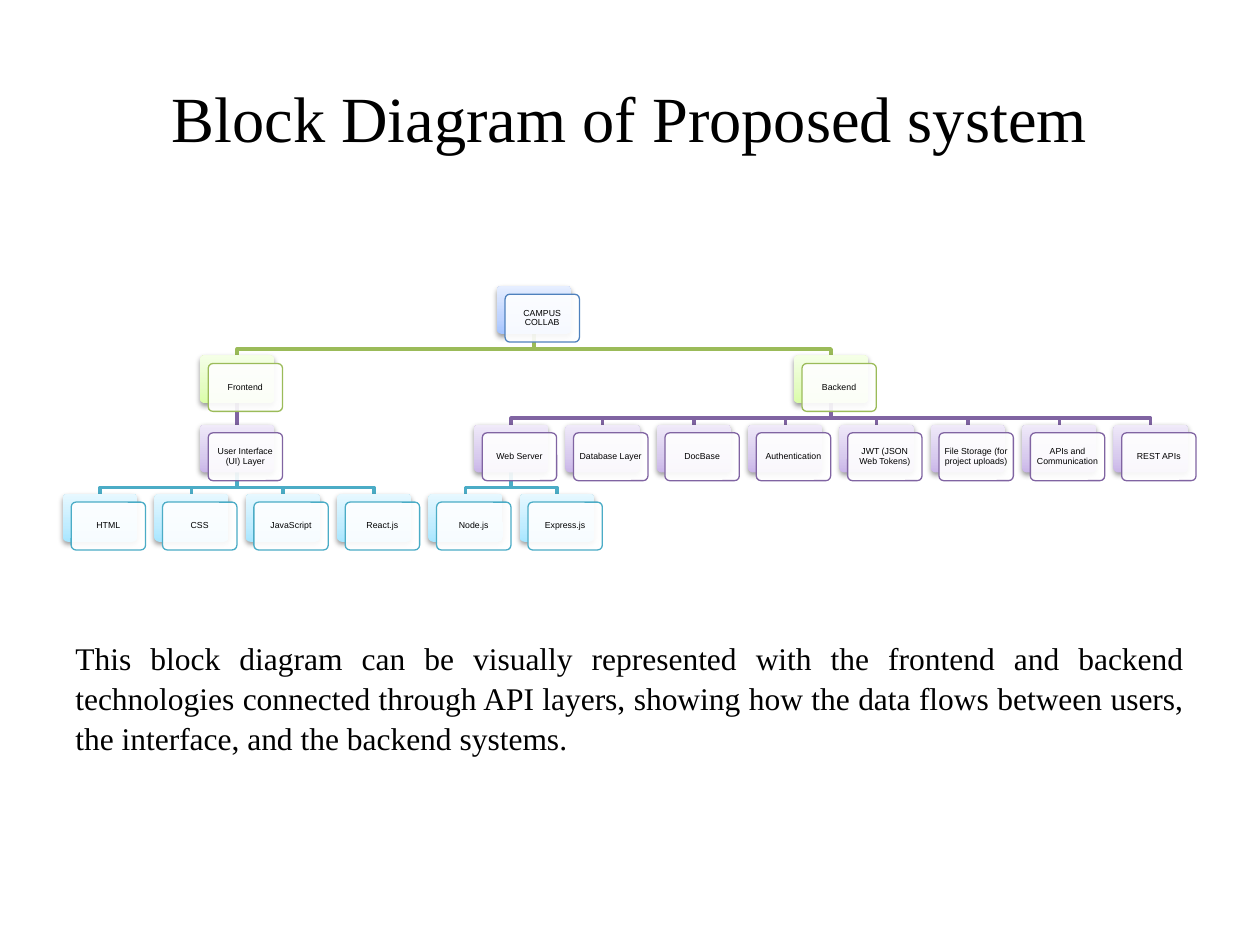
from lxml.etree import SubElement
from pptx import Presentation
from pptx.dml.color import RGBColor
from pptx.enum.shapes import MSO_CONNECTOR, MSO_SHAPE
from pptx.enum.text import MSO_ANCHOR, PP_ALIGN
from pptx.oxml.ns import qn
from pptx.util import Inches, Pt

THEME = {
    "text": "000000", "card": "FFFFFF", "shadow": "000000",
    "serif": "Times New Roman", "sans": "Arial",
    "title_size": 36.8, "body_size": 18, "card_size": 5,
    # One entry per tree level: outline, then gradient from bottom to top
    "levels": [
        ("4F81BD", ("A4C4FF", "BFD4FF", "E6EEFF")),
        ("9BBB59", ("DAFDA7", "E4FCC2", "F5FFE7")),
        ("8064A2", ("C9B5E8", "D8CBEE", "F0EAF9")),
        ("4BACC6", ("A7E6FF", "C1EDFF", "E7F8FF")),
    ],
}

# Tree grid, in inches
LEFT, TOP = 0.5, 2.27
COLUMN, ROW = 0.725, 0.55
CARD_WIDTH, CARD_HEIGHT = 0.59, 0.38
CARD_OFFSET, BUS_DROP = 0.065, 0.12

# Label, column, level, index of the parent
NODES = [
    ("CAMPUS COLLAB", 4.75, 0, None),
    ("Frontend", 1.5, 1, 0),
    ("Backend", 8, 1, 0),
    ("User Interface (UI) Layer", 1.5, 2, 1),
    ("Web Server", 4.5, 2, 2),
]
BACKEND_PARTS = ["Database Layer", "DocBase", "Authentication", "JWT (JSON Web Tokens)",
                 "File Storage (for project uploads)", "APIs and Communication", "REST APIs"]
NODES += [(label, 5.5 + i, 2, 2) for i, label in enumerate(BACKEND_PARTS)]
NODES += [(label, i, 3, 3) for i, label in enumerate(["HTML", "CSS", "JavaScript", "React.js"])]
NODES += [(label, 4 + i, 3, 4) for i, label in enumerate(["Node.js", "Express.js"])]


def write_text(shape, text, font, size, alignment, anchor, margins):
    text_frame = shape.text_frame
    text_frame.word_wrap = True
    text_frame.vertical_anchor = anchor
    text_frame.margin_left = text_frame.margin_right = Inches(margins[0])
    text_frame.margin_top = text_frame.margin_bottom = Inches(margins[1])
    text_frame.text = text
    paragraph = text_frame.paragraphs[0]
    paragraph.alignment = alignment
    run_font = paragraph.runs[0].font
    run_font.name, run_font.size = font, Pt(size)
    run_font.color.rgb = RGBColor.from_string(THEME["text"])
    return paragraph


def add_card(left, top):
    card = slide.shapes.add_shape(MSO_SHAPE.ROUNDED_RECTANGLE, Inches(left), Inches(top),
                                  Inches(CARD_WIDTH), Inches(CARD_HEIGHT))
    card.adjustments[0] = 0.1
    card.shadow.inherit = False
    return card


presentation = Presentation()
presentation.slide_width, presentation.slide_height = Inches(10), Inches(7.5)
slide = presentation.slides.add_slide(presentation.slide_layouts[6])

# Title
title = slide.shapes.add_textbox(Inches(0.5), Inches(0.3), Inches(9), Inches(1.25))
paragraph = write_text(title, "Block Diagram of Proposed system", THEME["serif"],
                       THEME["title_size"], PP_ALIGN.CENTER, MSO_ANCHOR.MIDDLE, (0.1, 0.05))
paragraph.space_before = Pt(6.4)

# Cards: a shaded back plate and a labelled front plate
plates = []
for label, column, level, parent in NODES:
    outline, gradient = THEME["levels"][level]
    left, top = LEFT + column * COLUMN, TOP + level * ROW

    plate = add_card(left, top)
    plate.line.fill.background()
    plate.fill.gradient()
    plate.fill.gradient_angle = 90
    stops = plate.element.spPr.find(".//" + qn("a:gsLst"))
    for stop in list(stops):
        stops.remove(stop)
    for position, color in zip((0, 35000, 100000), gradient):
        stop = SubElement(stops, qn("a:gs"), pos=str(position))
        SubElement(stop, qn("a:srgbClr"), val=color)
    shadow = SubElement(plate.element.spPr.find(qn("a:effectLst")), qn("a:outerShdw"),
                        blurRad=str(Pt(3.1)), dist=str(Pt(1.6)), dir="5400000", rotWithShape="0")
    shadow_color = SubElement(shadow, qn("a:srgbClr"), val=THEME["shadow"])
    SubElement(shadow_color, qn("a:alpha"), val="38000")
    plates.append(plate)

    front = add_card(left + CARD_OFFSET, top + CARD_OFFSET)
    front.fill.solid()
    front.fill.fore_color.rgb = RGBColor.from_string(THEME["card"])
    fill_color = front.element.spPr.find(qn("a:solidFill")).find(qn("a:srgbClr"))
    SubElement(fill_color, qn("a:alpha"), val="90000")
    front.line.color.rgb = RGBColor.from_string(outline)
    front.line.width = Pt(0.75)
    paragraph = write_text(front, label, THEME["sans"], THEME["card_size"],
                           PP_ALIGN.CENTER, MSO_ANCHOR.MIDDLE, (0.02, 0.02))
    paragraph.line_spacing = 0.9
    paragraph.space_after = Pt(1.75)

# Links from each parent down to its child, placed behind the cards
for (label, column, level, parent), plate in zip(NODES, plates):
    if parent is None:
        continue
    upper = plates[parent]
    start_x, start_y = upper.left + upper.width // 2, upper.top + upper.height
    end_x, end_y = plate.left + plate.width // 2, plate.top
    if start_x == end_x:
        link = slide.shapes.add_connector(MSO_CONNECTOR.STRAIGHT, start_x, start_y, end_x, end_y)
        link.begin_connect(upper, 2)
        link.end_connect(plate, 0)
        SubElement(link.element.spPr, qn("a:effectLst"))
    else:
        bus_y = start_y + Inches(BUS_DROP)
        builder = slide.shapes.build_freeform(start_x, start_y)
        builder.add_line_segments([(start_x, bus_y), (end_x, bus_y), (end_x, end_y)], close=False)
        link = builder.convert_to_shape()
        link.fill.background()
        link.shadow.inherit = False
    link.line.color.rgb = RGBColor.from_string(THEME["levels"][level][0])
    link.line.width = Pt(2)
    plates[0].element.addprevious(link.element)

# Explanation
body = slide.shapes.add_textbox(Inches(0.5), Inches(5.01), Inches(9), Inches(1.01))
paragraph = write_text(
    body,
    "This block diagram can be visually represented with the frontend and backend technologies "
    "connected through API layers, showing how the data flows between users, the interface, "
    "and the backend systems.",
    THEME["serif"], THEME["body_size"], PP_ALIGN.JUSTIFY, MSO_ANCHOR.TOP, (0.1, 0.05))
paragraph.line_spacing = 1.05

presentation.save("out.pptx")
